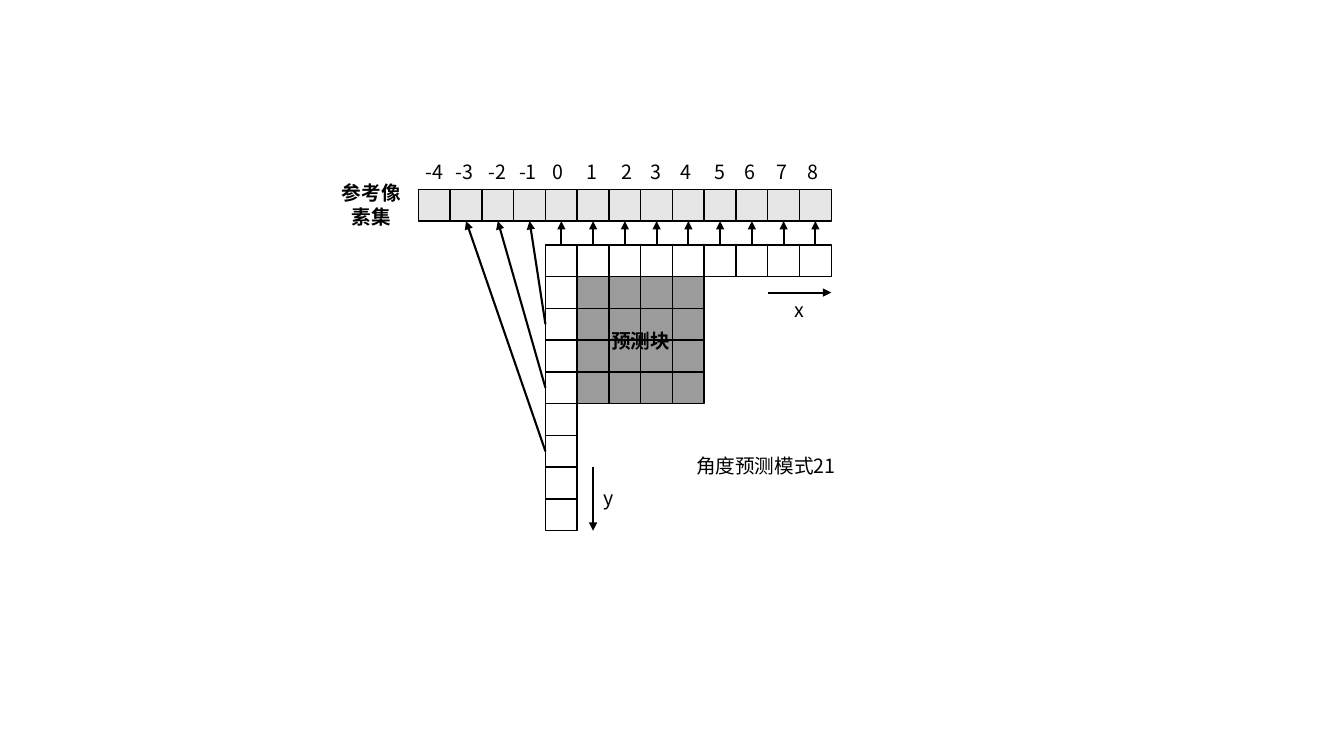
from dataclasses import dataclass

from pptx import Presentation
from pptx.dml.color import RGBColor as Rgb
from pptx.enum.shapes import MSO_CONNECTOR as Link, MSO_SHAPE as Kind
from pptx.enum.text import MSO_AUTO_SIZE as Fit, PP_ALIGN as Align
from pptx.oxml.ns import qn
from pptx.oxml.xmlchemy import OxmlElement as Node
from pptx.util import Emu, Inches, Pt

COLORS = {"ink": "000000", "block": "3B3838", "ref": "D0CECE"}
FONT = "Noto Sans CJK SC"
STEP = 0.315  # side of a cell, inches
LEFT, TOP = 5.41, 2.43  # corner pixel: column 0, row 0
REF = -1.75  # row of the reference set
SIDE = 4  # cells along the block
LAST = 2 * SIDE


@dataclass(frozen=True)
class Band:
    """A rectangle of cells; a blank color means no fill."""
    col: int
    row: float
    cols: int
    rows: int
    color: str = ""


@dataclass(frozen=True)
class Arrow:
    """An arrow between two grid points, each (column, row)."""
    start: tuple[float, float]
    end: tuple[float, float]


@dataclass(frozen=True)
class Label:
    """Centred text in a box measured in cells."""
    text: str
    col: float
    row: float
    wide: float = 1.5
    high: float = 1.08
    bold: bool = False


BANDS = [
    Band(1, 1, SIDE, SIDE, "block"),
    Band(1, 0, LAST, 1),
    Band(0, 0, 1, LAST + 1),
    Band(-SIDE, REF, SIDE + LAST + 1, 1, "ref"),
]
ARROWS = [
    Arrow((7, 1.5), (9, 1.5)),
    Arrow((1.5, 7), (1.5, 9)),
    *(Arrow((0, 2.5 + 2 * i), (-0.5 - i, REF + 1)) for i in range(3)),
    *(Arrow((i + 0.5, 0), (i + 0.5, REF + 1)) for i in range(LAST + 1)),
]
TICKS = (-4.25, -3.3, -2.25, -1.3, -0.35, 0.7, 1.81,
         2.73, 3.68, 4.73, 5.68, 6.7, 7.68)
LABELS = [
    Label("x", 7.24, 1.52),
    Label("y", 1.24, 7.43),
    *(Label(str(i), col, -2.83) for i, col in enumerate(TICKS, -SIDE)),
    Label("角度预测模式21", 4.16, 6.44, wide=5.56),
    Label("预测块", 1.62, 2.48, wide=2.76, bold=True),
    Label("参考像素集", -6.86, -2.16, wide=2.76, high=1.81, bold=True),
]


def tint(name: str) -> Rgb:
    """Look up a named color."""
    return Rgb.from_string(COLORS[name])


def span(cells: float) -> Emu:
    """Turn a count of cells into a length."""
    return Inches(cells * STEP)


def spot(col: float, row: float) -> tuple[Emu, Emu]:
    """Turn a grid point into a slide position."""
    return Inches(LEFT + col * STEP), Inches(TOP + row * STEP)


def draw_cell(shapes, col: float, row: float, color: str) -> None:
    """Draw one outlined cell, half clear if it has a color."""
    cell = shapes.add_shape(Kind.RECTANGLE, *spot(col, row), span(1), span(1))
    cell.shadow.inherit = False
    if color:
        cell.fill.solid()
        cell.fill.fore_color.rgb = tint(color)
        alpha = Node("a:alpha")
        alpha.set("val", "50000")
        fill = cell.element.spPr.find(qn("a:solidFill"))
        fill.find(qn("a:srgbClr")).append(alpha)
    else:
        cell.fill.background()
    cell.line.color.rgb = tint("ink")
    cell.line.width = Pt(1)


def draw_band(shapes, band: Band) -> None:
    """Draw every cell of a band."""
    for row in range(band.rows):
        for col in range(band.cols):
            draw_cell(shapes, band.col + col, band.row + row, band.color)


def draw_arrow(shapes, arrow: Arrow) -> None:
    """Draw a line with a triangle at its end."""
    link = shapes.add_connector(
        Link.STRAIGHT, *spot(*arrow.start), *spot(*arrow.end))
    link.line.color.rgb = tint("ink")
    link.line.width = Pt(1.5)
    head = Node("a:tailEnd")
    head.set("type", "triangle")
    frame = link.element.spPr
    frame.find(qn("a:ln")).append(head)
    frame.append(Node("a:effectLst"))


def draw_label(shapes, label: Label) -> None:
    """Write one centred label."""
    box = shapes.add_textbox(
        *spot(label.col, label.row), span(label.wide), span(label.high))
    frame = box.text_frame
    frame.word_wrap = True
    frame.auto_size = Fit.SHAPE_TO_FIT_TEXT
    para = frame.paragraphs[0]
    para.alignment = Align.CENTER
    run = para.add_run()
    run.text = label.text
    font = run.font
    font.name, font.size, font.bold = FONT, Pt(14), label.bold
    font.color.rgb = tint("ink")
    east = Node("a:ea")
    east.set("typeface", FONT)
    run._r.get_or_add_rPr().append(east)


def main() -> None:
    """Build the slide and save it."""
    deck = Presentation()
    deck.slide_width, deck.slide_height = Inches(13.33), Inches(7.5)
    shapes = deck.slides.add_slide(deck.slide_layouts[6]).shapes
    for band in BANDS:
        draw_band(shapes, band)
    for arrow in ARROWS:
        draw_arrow(shapes, arrow)
    for label in LABELS:
        draw_label(shapes, label)
    deck.save("out.pptx")


main()
